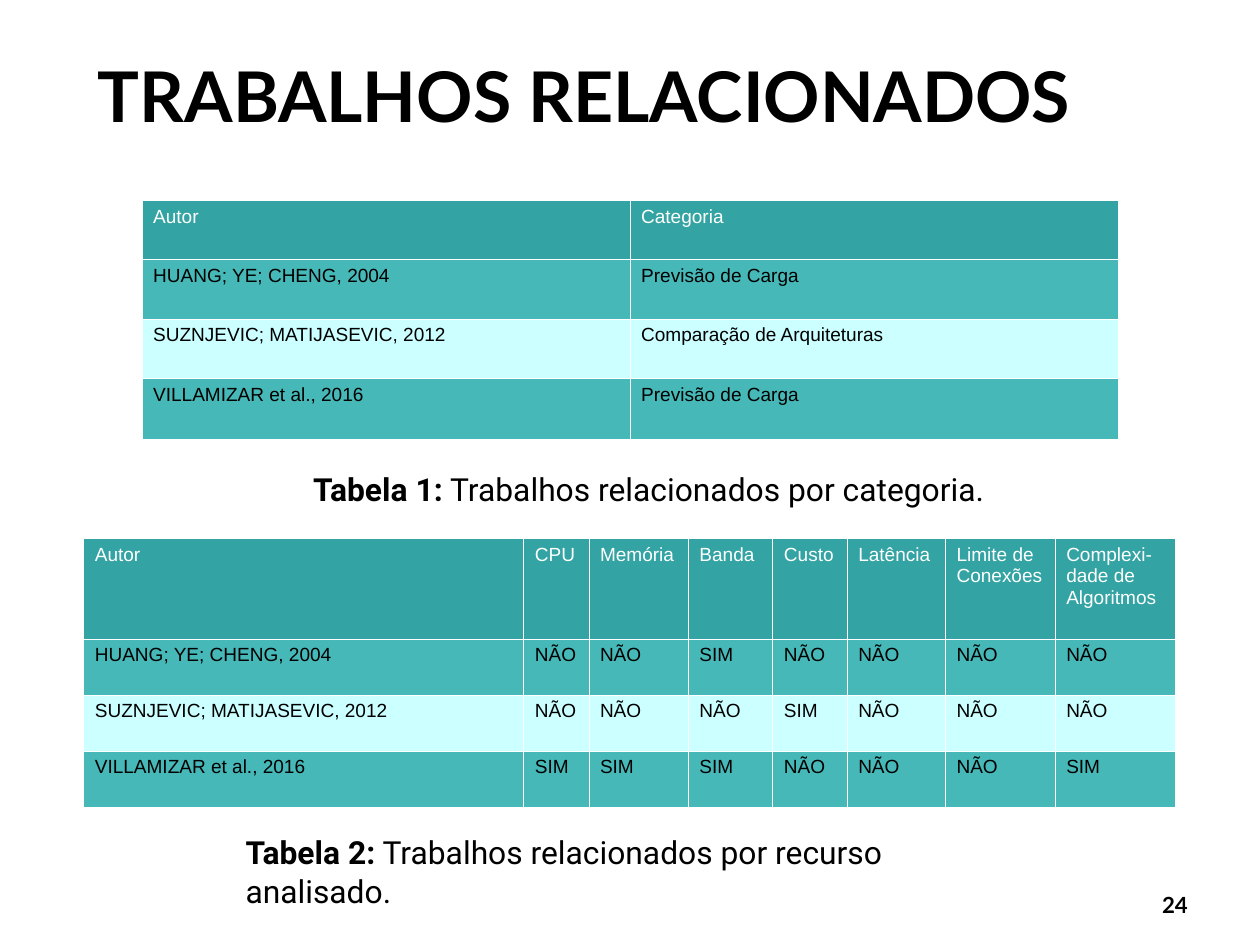
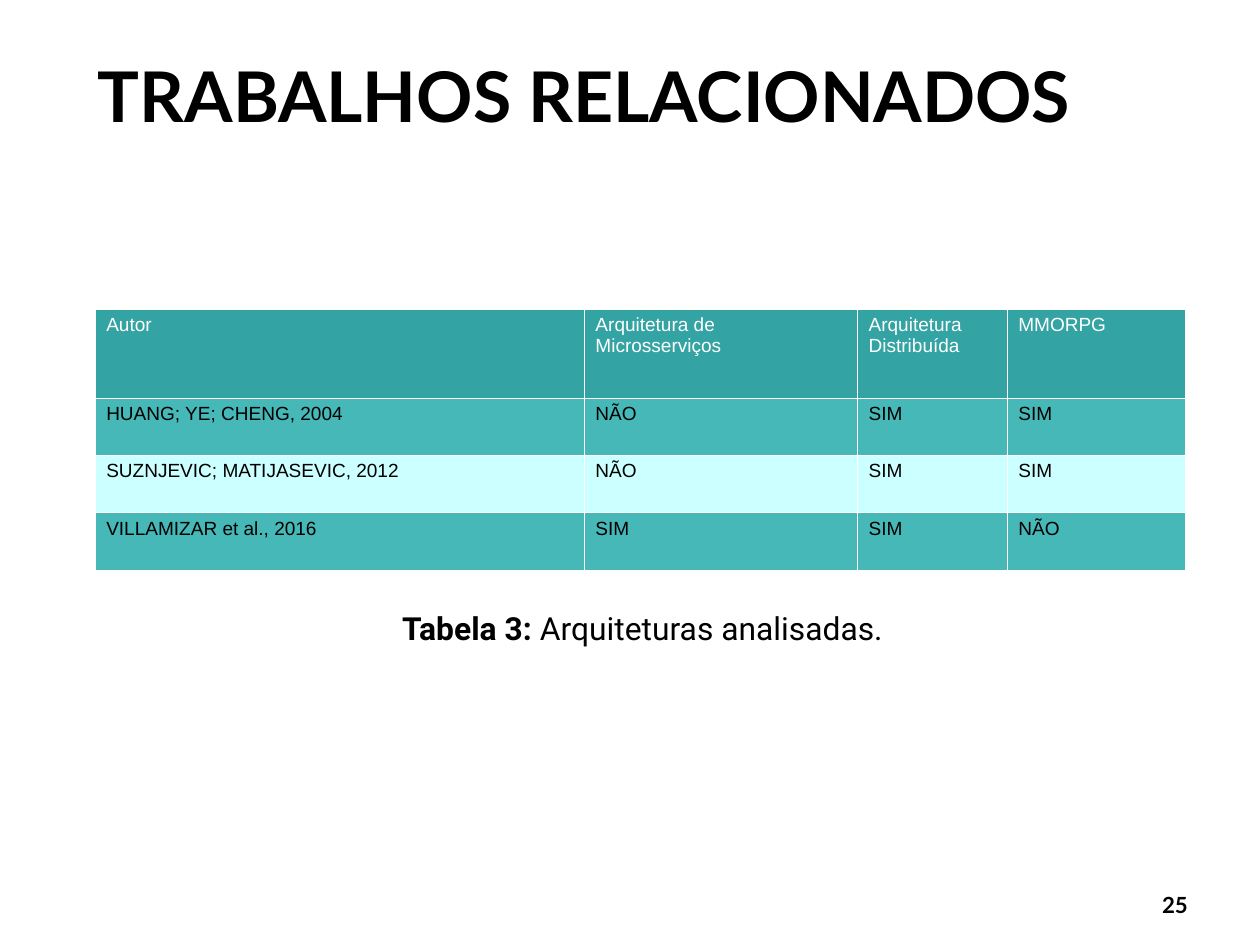
"""Build the two related-work slides with their comparison tables."""
from dataclasses import dataclass

from lxml.etree import SubElement
from pptx import Presentation
from pptx.dml.color import RGBColor
from pptx.enum.text import MSO_ANCHOR, MSO_AUTO_SIZE, PP_ALIGN
from pptx.oxml.ns import qn
from pptx.util import Cm, Inches, Pt


@dataclass(frozen=True)
class Theme:
    ink: str = "000000"
    paper: str = "FFFFFF"
    header: str = "33A3A3"
    bands: tuple = ("47B8B8", "CCFFFF")
    display: str = "Lato"
    caption: str = "Roboto"
    cell: str = "Arial"
    title_size: int = 44
    caption_size: int = 20
    number_size: int = 14
    cell_size: int = 12
    rule: float = 0.06


THEME = Theme()
SLIDE_SIZE = (Cm(28), Cm(21))
TITLE = "TRABALHOS RELACIONADOS"
TITLE_BOX = (0.55, -0.07, 9.13, 1.8)
NUMBER_BOX = (9.61, 7.8, 1.34, 0.26)
AUTHORS = (
    "HUANG; YE; CHENG, 2004",
    "SUZNJEVIC; MATIJASEVIC, 2012",
    "VILLAMIZAR et al., 2016",
)
NO, YES = "NÃO", "SIM"

CATEGORIES = {
    "headings": ("Categoria",),
    "findings": (
        ("Previsão de Carga",),
        ("Comparação de Arquiteturas",),
        ("Previsão de Carga",),
    ),
    "origin": (1.24, 1.75),
    "widths": (4.27, 4.27),
    "heights": (0.52, 0.52, 0.52, 0.53),
    "caption": ("Tabela 1:", " Trabalhos relacionados por categoria."),
    "caption_box": (2.64, 4.06, 6.41, 0.98),
}
RESOURCES = {
    "headings": ("CPU", "Memória", "Banda", "Custo", "Latência",
                 "Limite de Conexões", "Complexi-dade de Algoritmos"),
    "findings": (
        (NO, NO, YES, NO, NO, NO, NO),
        (NO, NO, NO, YES, NO, NO, NO),
        (YES, YES, YES, NO, NO, NO, YES),
    ),
    "origin": (0.73, 4.71),
    "widths": (3.85, 0.57, 0.87, 0.74, 0.65, 0.86, 0.96, 1.05),
    "heights": (0.88, 0.49, 0.49, 0.49),
    "caption": ("Tabela 2:", " Trabalhos relacionados por recurso analisado."),
    "caption_box": (2.05, 7.24, 6.93, 0.86),
}
ARCHITECTURES = {
    "headings": ("Arquitetura de Microsserviços", "Arquitetura Distribuída", "MMORPG"),
    "findings": ((NO, YES, YES), (NO, YES, YES), (YES, YES, NO)),
    "origin": (0.83, 2.7),
    "widths": (4.28, 2.39, 1.31, 1.56),
    "heights": (0.78, 0.5, 0.5, 0.51),
    "caption": ("Tabela 3:", " Arquiteturas analisadas."),
    "caption_box": (3.42, 5.28, 4.64, 0.98),
}
SLIDES = ((24, (CATEGORIES, RESOURCES)), (25, (ARCHITECTURES,)))


def write(frame, text, font, size, color=THEME.ink, bold=False, align=PP_ALIGN.LEFT):
    """Append one formatted run to the first paragraph of a frame."""
    paragraph = frame.paragraphs[0]
    paragraph.alignment = align
    run = paragraph.add_run()
    run.text = text
    run.font.name, run.font.size, run.font.bold = font, Pt(size), bold
    run.font.color.rgb = RGBColor.from_string(color)


def prepare(frame, inset_x, inset_y, anchor=MSO_ANCHOR.TOP):
    """Set wrapping, insets and anchor of a frame."""
    frame.word_wrap = True
    frame.auto_size = MSO_AUTO_SIZE.NONE
    frame.vertical_anchor = anchor
    frame.margin_left = frame.margin_right = Inches(inset_x)
    frame.margin_top = frame.margin_bottom = Inches(inset_y)
    return frame


def add_box(slide, bounds, inset_x=0, inset_y=0):
    """Add a text box and return its frame."""
    box = slide.shapes.add_textbox(*map(Inches, bounds))
    return prepare(box.text_frame, inset_x, inset_y)


def rule_cell(cell):
    """Draw thin rules on the four sides of a cell."""
    properties = cell._tc.get_or_add_tcPr()
    for side in ("lnL", "lnR", "lnT", "lnB"):
        line = SubElement(properties, qn(f"a:{side}"), w=str(int(Pt(THEME.rule))))
        fill = SubElement(line, qn("a:solidFill"))
        SubElement(fill, qn("a:srgbClr"), val=THEME.paper)


def add_study_table(slide, study):
    """Add one comparison table and its caption."""
    rows = [("Autor", *study["headings"])]
    rows += [(author, *found) for author, found in zip(AUTHORS, study["findings"])]
    widths, heights = study["widths"], study["heights"]
    bounds = (*study["origin"], sum(widths), sum(heights))
    table = slide.shapes.add_table(len(rows), len(widths), *map(Inches, bounds)).table
    table.horz_banding = False
    for column, width in zip(table.columns, widths):
        column.width = Inches(width)
    for index, (row, height, texts) in enumerate(zip(table.rows, heights, rows)):
        row.height = Inches(height)
        band = THEME.bands[(index - 1) % 2] if index else THEME.header
        ink = THEME.ink if index else THEME.paper
        for cell, text in zip(row.cells, texts):
            rule_cell(cell)
            cell.fill.solid()
            cell.fill.fore_color.rgb = RGBColor.from_string(band)
            write(cell.text_frame, text, THEME.cell, THEME.cell_size, color=ink)
    caption = add_box(slide, study["caption_box"], 0.1, 0.05)
    for text, bold in zip(study["caption"], (True, False)):
        write(caption, text, THEME.caption, THEME.caption_size, bold=bold)


def add_study_slide(deck, number, studies):
    """Add a slide with the shared title, its tables and its number."""
    slide = deck.slides.add_slide(deck.slide_layouts[5])
    title = slide.shapes.title
    title.left, title.top, title.width, title.height = map(Inches, TITLE_BOX)
    heading = prepare(title.text_frame, 0, 0, MSO_ANCHOR.MIDDLE)
    write(heading, TITLE, THEME.display, THEME.title_size, bold=True, align=PP_ALIGN.CENTER)
    for study in studies:
        add_study_table(slide, study)
    write(add_box(slide, NUMBER_BOX), str(number), THEME.display, THEME.number_size,
          bold=True, align=PP_ALIGN.CENTER)


def main():
    """Assemble and save the deck."""
    deck = Presentation()
    deck.slide_width, deck.slide_height = SLIDE_SIZE
    for number, studies in SLIDES:
        add_study_slide(deck, number, studies)
    deck.save("out.pptx")


if __name__ == "__main__":
    main()
